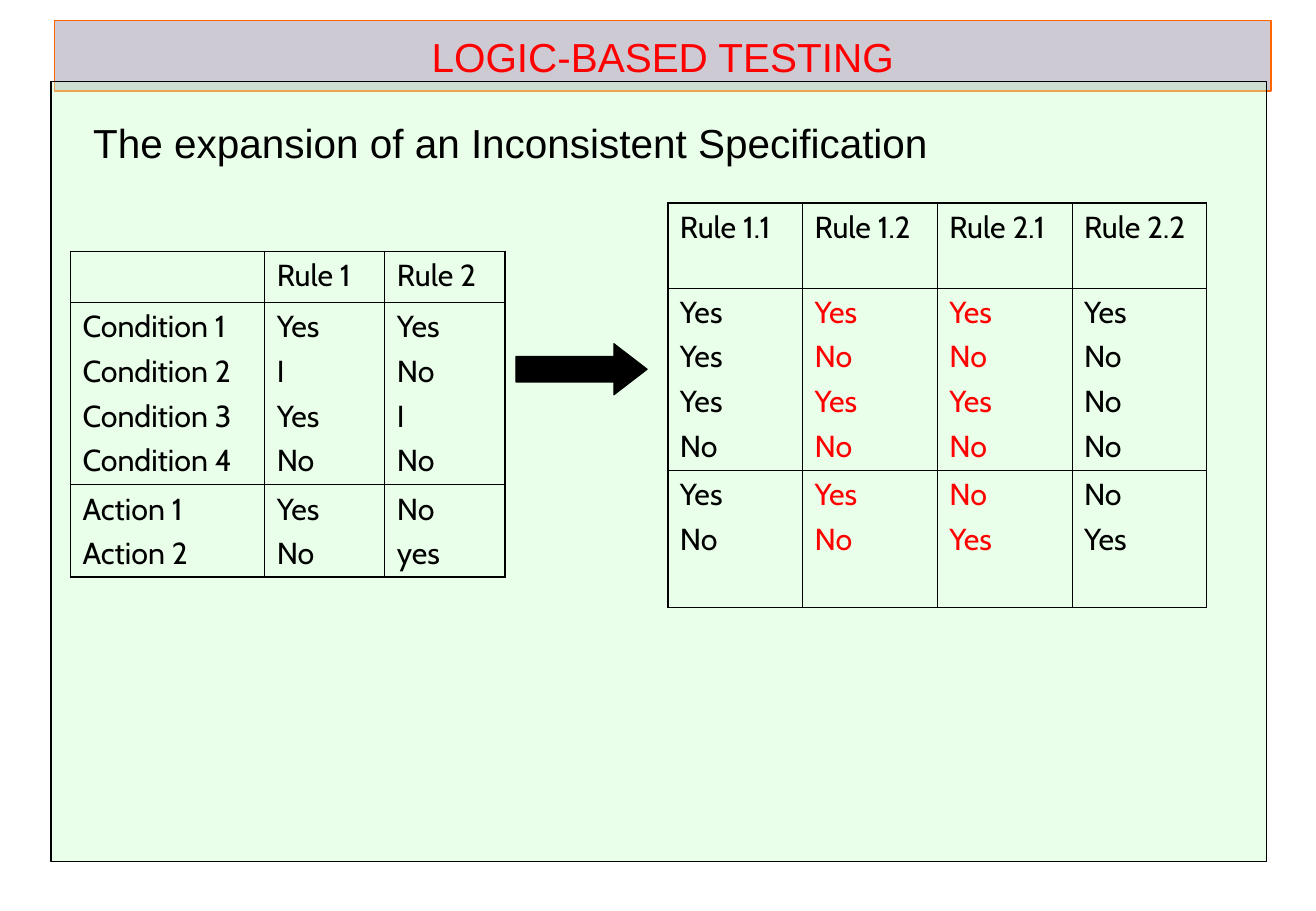
from dataclasses import dataclass

from lxml.etree import SubElement
from pptx import Presentation
from pptx.dml.color import RGBColor
from pptx.enum.shapes import MSO_SHAPE as Shape
from pptx.enum.text import MSO_ANCHOR as Anchor, PP_ALIGN as Align
from pptx.oxml.ns import qn
from pptx.util import Inches, Pt

TITLE = "LOGIC-BASED TESTING"
SUBTITLE = "The expansion of an Inconsistent Specification"

# Each column holds a heading, its conditions and its actions.
SPECIFICATION = [
    ("", ["Condition 1", "Condition 2", "Condition 3", "Condition 4"], ["Action 1", "Action 2"]),
    ("Rule 1", ["Yes", "I", "Yes", "No"], ["Yes", "No"]),
    ("Rule 2", ["Yes", "No", "I", "No"], ["No", "yes"]),
]
EXPANSION = [
    ("Rule 1.1", ["Yes", "Yes", "Yes", "No"], ["Yes", "No"]),
    ("Rule 1.2", ["Yes", "No", "Yes", "No"], ["Yes", "No"]),
    ("Rule 2.1", ["Yes", "No", "Yes", "No"], ["No", "Yes"]),
    ("Rule 2.2", ["Yes", "No", "No", "No"], ["No", "Yes"]),
]
CONTRADICTORY_RULES = {"Rule 1.2", "Rule 2.1"}


@dataclass(frozen=True)
class Theme:
    black: str = "000000"
    red: str = "FF0000"
    title_fill: str = "CECAD4"
    title_line: str = "FF6600"
    panel_fill: str = "CCFFCC"
    panel_opacity: int = 40
    heading_font: str = "Arial"
    heading_size: float = 24
    table_font: str = "Cabin"
    table_size: float = 18
    paragraph_gap: float = 4.5
    shape_line: float = 0.75
    outer_line: float = 1.08
    inner_line: float = 0.45


THEME = Theme()


def inches(*lengths):
    return [Inches(length) for length in lengths]


def style_text(paragraph, font_name, size, color, alignment):
    paragraph.alignment = alignment
    for run in paragraph.runs:
        run.font.name = font_name
        run.font.size = Pt(size)
        run.font.color.rgb = RGBColor.from_string(color)


def style_shape(shape, fill, line, opacity=100):
    shape.shadow.inherit = False
    shape.fill.solid()
    shape.fill.fore_color.rgb = RGBColor.from_string(fill)
    if opacity < 100:
        color = shape.fill._xPr.find(qn("a:solidFill"))[0]
        SubElement(color, qn("a:alpha"), val=str(opacity * 1000))
    shape.line.color.rgb = RGBColor.from_string(line)
    shape.line.width = Pt(THEME.shape_line)


def set_heading(shape, text, color, alignment):
    frame = shape.text_frame
    frame.word_wrap = True
    frame.vertical_anchor = Anchor.MIDDLE
    frame.text = text
    style_text(frame.paragraphs[0], THEME.heading_font, THEME.heading_size, color, alignment)


def set_borders(cell, outer_sides):
    properties = cell._tc.get_or_add_tcPr()
    for side in "LRTB":
        width = THEME.outer_line if side in outer_sides else THEME.inner_line
        line = SubElement(properties, qn(f"a:ln{side}"), w=str(Pt(width)))
        SubElement(SubElement(line, qn("a:solidFill")), qn("a:srgbClr"), val=THEME.black)


def fill_cell(cell, lines, color):
    cell.fill.background()
    cell.text_frame.text = "\n".join(lines)
    for index, paragraph in enumerate(cell.text_frame.paragraphs):
        style_text(paragraph, THEME.table_font, THEME.table_size, color, Align.JUSTIFY)
        if index:
            paragraph.space_before = Pt(THEME.paragraph_gap)


def add_decision_table(slide, columns, left, top, widths, heights, outer_sides):
    """Draw a decision table; outer_sides names the edges with a heavier line."""
    shape = slide.shapes.add_table(
        len(heights), len(columns), *inches(left, top, sum(widths), sum(heights)))
    table = shape.table
    table.first_row = table.horz_banding = False
    for row, height in zip(table.rows, heights):
        row.height = Inches(height)
    for column_index, (heading, conditions, actions) in enumerate(columns):
        table.columns[column_index].width = Inches(widths[column_index])
        contradictory = heading in CONTRADICTORY_RULES
        for row_index, lines in enumerate([[heading], conditions, actions]):
            cell = table.cell(row_index, column_index)
            edges = {"L": column_index == 0, "R": column_index == len(columns) - 1,
                     "T": row_index == 0, "B": row_index == len(heights) - 1}
            set_borders(cell, [side for side in outer_sides if edges[side]])
            color = THEME.red if contradictory and row_index else THEME.black
            fill_cell(cell, lines, color)


def main():
    presentation = Presentation()
    presentation.slide_width, presentation.slide_height = inches(10.84, 7.5)
    slide = presentation.slides.add_slide(presentation.slide_layouts[5])

    title = slide.shapes.title
    title.left, title.top, title.width, title.height = inches(0.45, 0.17, 10.02, 0.58)
    style_shape(title, THEME.title_fill, THEME.title_line)
    set_heading(title, TITLE, THEME.red, Align.CENTER)

    panel = slide.shapes.add_shape(Shape.RECTANGLE, *inches(0.42, 0.67, 10.01, 6.42))
    style_shape(panel, THEME.panel_fill, THEME.black, THEME.panel_opacity)

    subtitle = slide.shapes.add_textbox(*inches(0.67, 0.92, 9.2, 0.5))
    set_heading(subtitle, SUBTITLE, THEME.black, Align.LEFT)

    add_decision_table(slide, SPECIFICATION, 0.58, 2.07,
                       [1.6, 0.99, 0.99], [0.42, 1.5, 0.76], "LRTB")
    add_decision_table(slide, EXPANSION, 5.5, 1.67,
                       [1.11] * len(EXPANSION), [0.7, 1.5, 1.13], "LRTB")

    arrow = slide.shapes.add_shape(Shape.RIGHT_ARROW, *inches(4.25, 2.83, 1.08, 0.42))
    arrow.adjustments[0], arrow.adjustments[1] = 0.5, 0.65
    style_shape(arrow, THEME.black, THEME.black)

    presentation.save("out.pptx")


if __name__ == "__main__":
    main()
